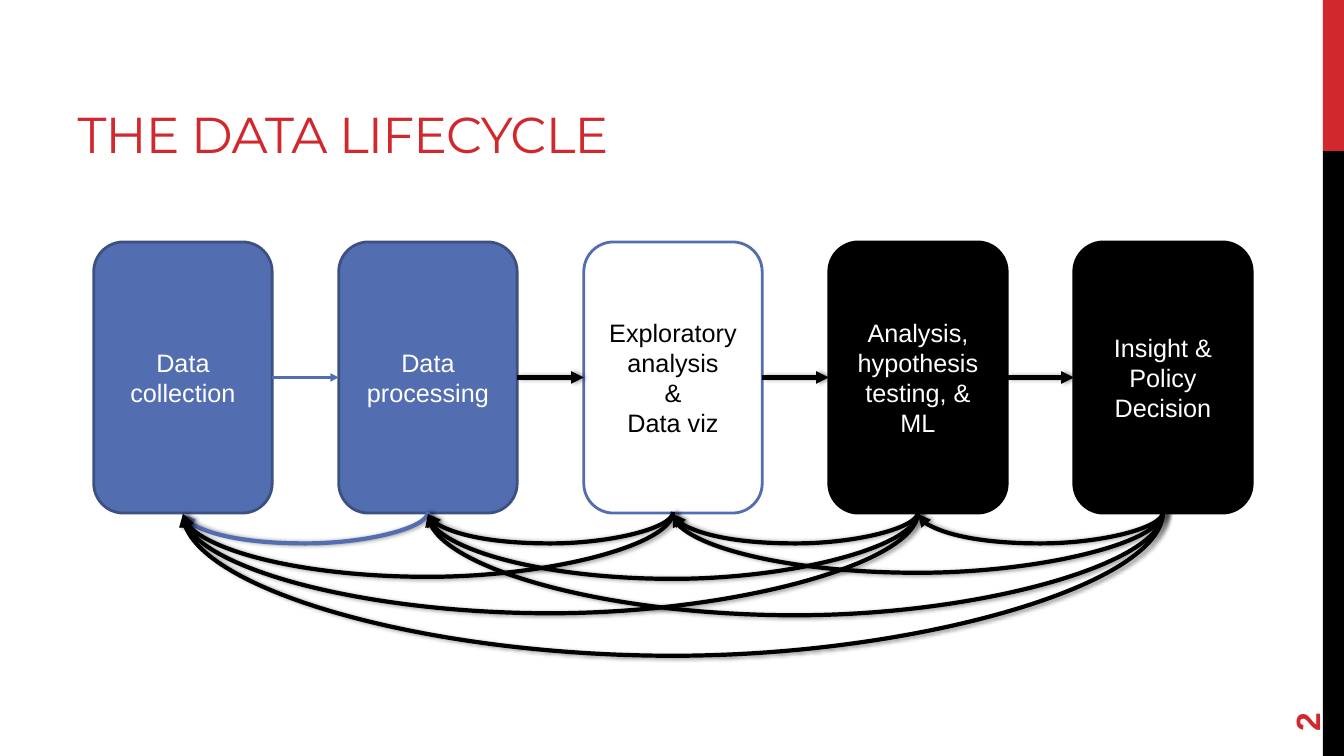
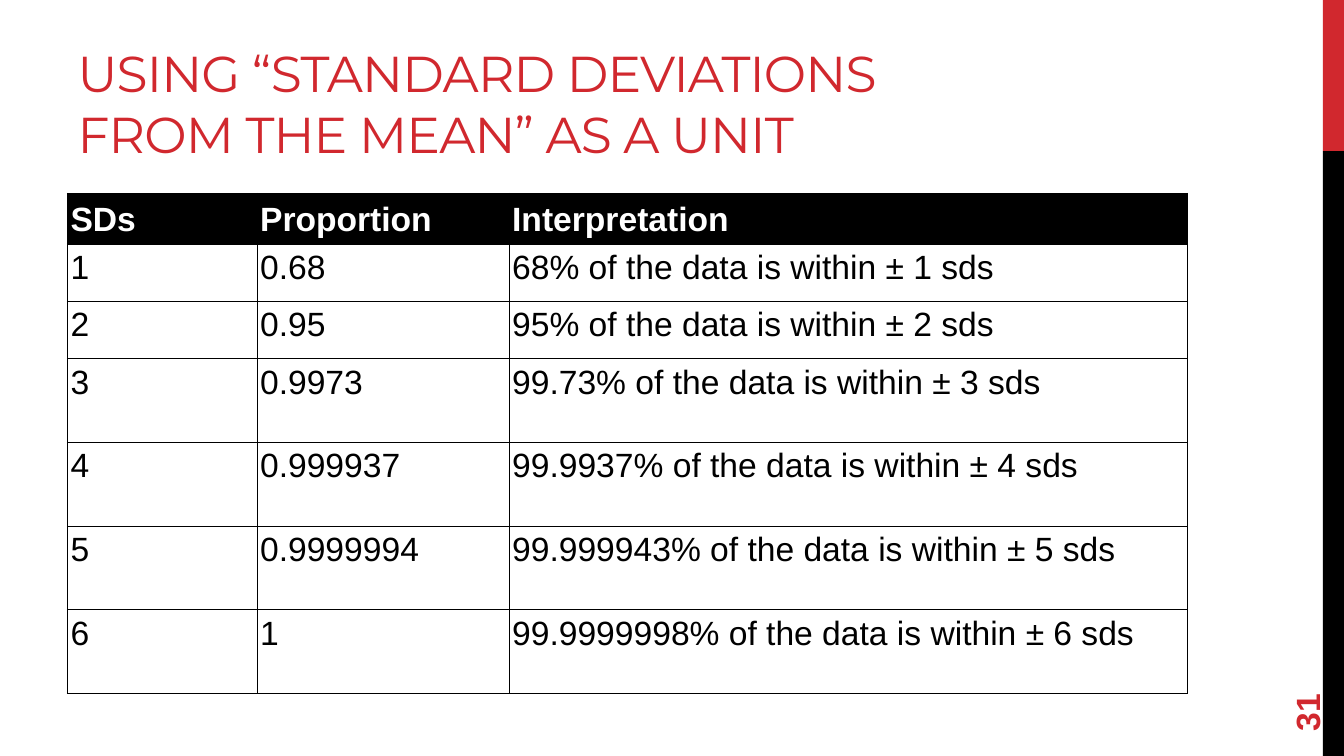
from lxml import etree
from pptx import Presentation
from pptx.dml.color import RGBColor
from pptx.enum.shapes import MSO_CONNECTOR, MSO_SHAPE
from pptx.enum.text import MSO_ANCHOR, MSO_AUTO_SIZE, PP_ALIGN
from pptx.oxml.ns import qn
from pptx.util import Inches, Pt

RECT, ROUNDED = MSO_SHAPE.RECTANGLE, MSO_SHAPE.ROUNDED_RECTANGLE
STRAIGHT, CURVE = MSO_CONNECTOR.STRAIGHT, MSO_CONNECTOR.CURVE
TOP, MIDDLE, BOTTOM = MSO_ANCHOR.TOP, MSO_ANCHOR.MIDDLE, MSO_ANCHOR.BOTTOM
LEFT, CENTER = PP_ALIGN.LEFT, PP_ALIGN.CENTER
NO_FIT = MSO_AUTO_SIZE.NONE
LEFT_SIDE, BOTTOM_SIDE, RIGHT_SIDE = 1, 2, 3

COLORS = {
    "red": "D1282E",
    "black": "000000",
    "white": "FFFFFF",
    "blue": "526DB0",
    "navy": "3C5082",
}
RGB = {name: RGBColor.from_string(value) for name, value in COLORS.items()}


def write(frame, text, size=18, font="Arial", color="black", bold=False,
          align=LEFT, tracking=None):
    frame.word_wrap = True
    for index, line in enumerate(text.split("\n")):
        paragraph = frame.add_paragraph() if index else frame.paragraphs[0]
        paragraph.alignment = align
        run = paragraph.add_run()
        run.text = line
        run.font.size = Pt(size)
        run.font.name = font
        run.font.bold = bold
        run.font.color.rgb = RGB[color]
        if tracking is not None:
            run.font._element.set("spc", str(tracking))


def format_arrow(arrow, color, width, shadow):
    arrow.line.color.rgb = RGB[color]
    arrow.line.width = Pt(width)
    etree.SubElement(arrow.line._get_or_add_ln(), qn("a:tailEnd"), type="triangle")
    effects = etree.SubElement(arrow._element.spPr, qn("a:effectLst"))
    if shadow:
        outer = etree.SubElement(effects, qn("a:outerShdw"), blurRad="40000",
                                 dist="23000", dir="0", rotWithShape="0")
        tint = etree.SubElement(outer, qn("a:srgbClr"), val=COLORS["black"])
        etree.SubElement(tint, qn("a:alpha"), val="40000")


deck = Presentation()
deck.slide_width, deck.slide_height = Inches(13.33), Inches(7.5)

slides = []
for heading, number in (
    ("THE DATA LIFECYCLE", "2"),
    ("USING “STANDARD DEVIATIONS FROM THE MEAN” AS A UNIT", "31"),
):
    slide = deck.slides.add_slide(deck.slide_layouts[5])
    slides.append(slide)
    for top, height, color in ((0, 1.5, "red"), (1.5, 6, "black")):
        band = slide.shapes.add_shape(
            RECT, Inches(13.12), Inches(top), Inches(0.21), Inches(height))
        band.shadow.inherit = False
        band.fill.solid()
        band.fill.fore_color.rgb = RGB[color]
        band.line.fill.background()

    title = slide.shapes.title
    title.left, title.top = Inches(0.67), Inches(0.17)
    title.width, title.height = Inches(8.44), Inches(1.5)
    title.text_frame.vertical_anchor = BOTTOM
    title.text_frame.auto_size = NO_FIT
    write(title.text_frame, heading, size=36, font="Montserrat", color="red",
          tracking=-60)

    page = slide.shapes.add_textbox(
        Inches(12.24), Inches(6.37), Inches(1.44), Inches(0.53))
    page.rotation = 270
    page.text_frame.vertical_anchor = MIDDLE
    write(page.text_frame, number, size=24, color="red", bold=True)

lifecycle, deviations = slides

STAGES = [
    ("Data collection", "blue", "navy", "white"),
    ("Data processing", "blue", "navy", "white"),
    ("Exploratory analysis\n&\nData viz", "white", "blue", "black"),
    ("Analysis, hypothesis testing, & ML", "black", "black", "white"),
    ("Insight & Policy Decision", "black", "black", "white"),
]
stages = []
for index, (label, fill, outline, ink) in enumerate(STAGES):
    stage = lifecycle.shapes.add_shape(
        ROUNDED, Inches(0.93 + 2.43 * index), Inches(2.4), Inches(1.77), Inches(2.69))
    stage.shadow.inherit = False
    stage.fill.solid()
    stage.fill.fore_color.rgb = RGB[fill]
    stage.line.color.rgb = RGB[outline]
    stage.line.width = Pt(2)
    stage.text_frame.vertical_anchor = MIDDLE
    write(stage.text_frame, label, color=ink, align=CENTER)
    stages.append(stage)

for index, (source, target) in enumerate(zip(stages, stages[1:])):
    step = lifecycle.shapes.add_connector(STRAIGHT, 0, 0, 0, 0)
    step.begin_connect(source, RIGHT_SIDE)
    step.end_connect(target, LEFT_SIDE)
    if index == 0:
        format_arrow(step, "blue", 2, False)
    else:
        format_arrow(step, "black", 3, True)

FEEDBACK_DEPTHS = {
    (1, 0): 0.31,
    (2, 1): 0.31, (2, 0): 0.64,
    (3, 2): 0.31, (3, 1): 0.66, (3, 0): 1.0,
    (4, 3): 0.31, (4, 2): 0.6, (4, 1): 1.02, (4, 0): 1.42,
}
DROP = 0.02
for (start, end), depth in FEEDBACK_DEPTHS.items():
    source, target = stages[start], stages[end]
    span = source.left - target.left
    middle_x = (source.left + target.left + source.width) // 2
    middle_y = source.top + source.height
    feedback = lifecycle.shapes.add_connector(CURVE, 0, 0, 0, 0)
    feedback.begin_connect(source, BOTTOM_SIDE)
    feedback.end_connect(target, BOTTOM_SIDE)
    feedback.begin_x = middle_x - Inches(DROP / 2)
    feedback.end_x = middle_x + Inches(DROP / 2)
    feedback.end_y = middle_y + span // 2
    feedback.begin_y = middle_y - span // 2
    properties = feedback._element.spPr
    properties.find(qn("a:xfrm")).set("rot", "5400000")
    adjustments = properties.find(qn("a:prstGeom")).find(qn("a:avLst"))
    etree.SubElement(adjustments, qn("a:gd"), name="adj1",
                     fmla=f"val {round(depth / DROP * 100000)}")
    format_arrow(feedback, "blue" if start == 1 else "black", 3, True)

ROWS = [("SDs", "Proportion", "Interpretation")]
for sds, proportion, percent in (
    (1, "0.68", "68"),
    (2, "0.95", "95"),
    (3, "0.9973", "99.73"),
    (4, "0.999937", "99.9937"),
    (5, "0.9999994", "99.999943"),
    (6, "1", "99.9999998"),
):
    ROWS.append((str(sds), proportion,
                 f"{percent}% of the data is within ± {sds} sds"))
WIDTHS = [1.88, 2.5, 6.73]
HEIGHTS = [0.43] + [0.57] * 2 + [0.83] * 4

table = deviations.shapes.add_table(
    len(ROWS), len(WIDTHS), Inches(0.67), Inches(1.92),
    Inches(sum(WIDTHS)), Inches(sum(HEIGHTS))).table
table.horz_banding = False
for column, width in zip(table.columns, WIDTHS):
    column.width = Inches(width)
for row_index, (values, height) in enumerate(zip(ROWS, HEIGHTS)):
    table.rows[row_index].height = Inches(height)
    header = row_index == 0
    for column_index, value in enumerate(values):
        cell = table.cell(row_index, column_index)
        cell.margin_left = cell.margin_right = Inches(0.03)
        cell.margin_top = cell.margin_bottom = Inches(0.05)
        cell.vertical_anchor = BOTTOM if header else TOP
        write(cell.text_frame, value, size=24, bold=header,
              color="white" if header else "black")
        borders = cell._tc.get_or_add_tcPr()
        for side in ("lnL", "lnR", "lnT", "lnB"):
            border = etree.SubElement(borders, qn(f"a:{side}"), w=str(Pt(0.96)))
            paint = etree.SubElement(border, qn("a:solidFill"))
            etree.SubElement(paint, qn("a:srgbClr"), val=COLORS["black"])
        if header:
            cell.fill.solid()
            cell.fill.fore_color.rgb = RGB["black"]
        else:
            cell.fill.background()

deck.save("out.pptx")
